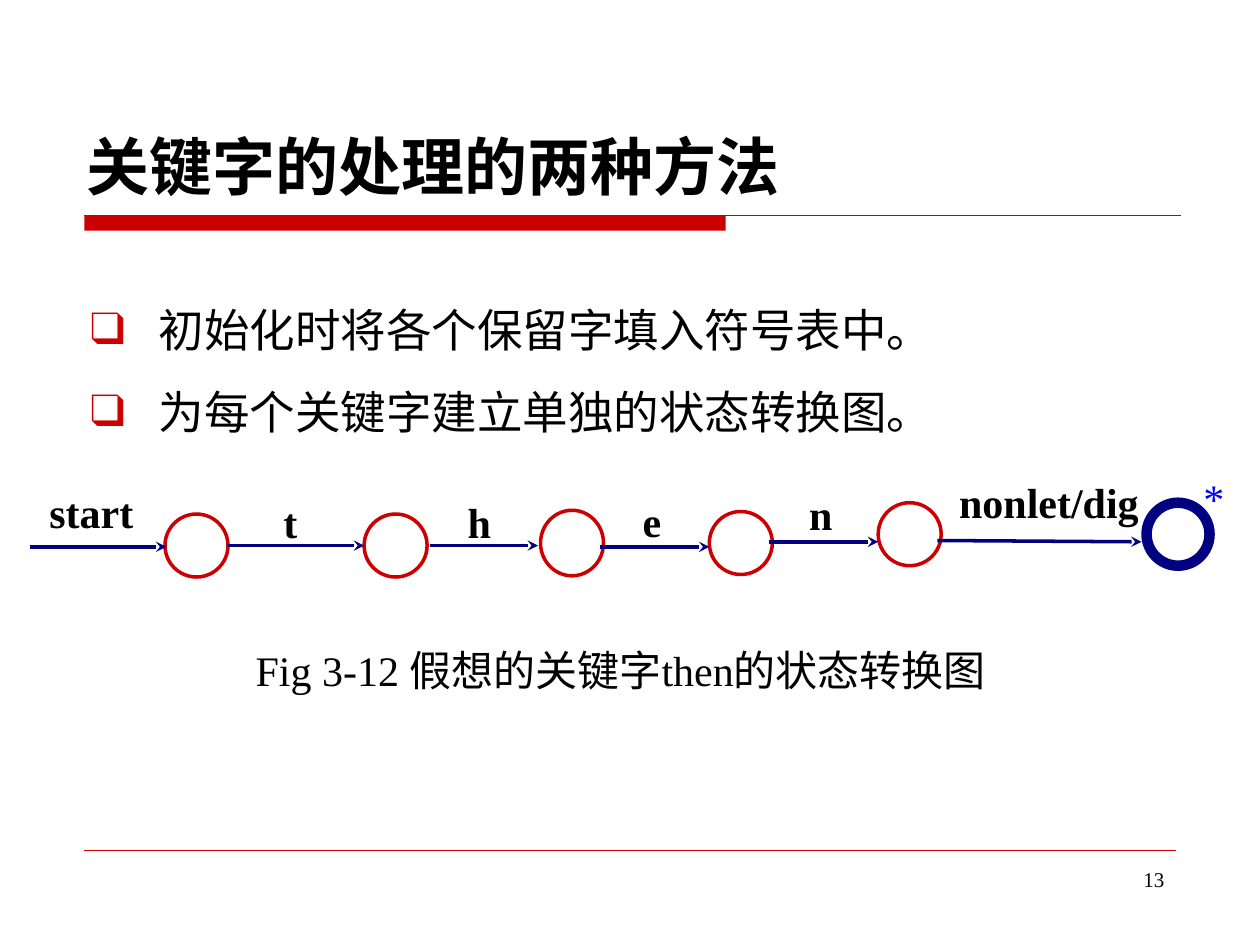
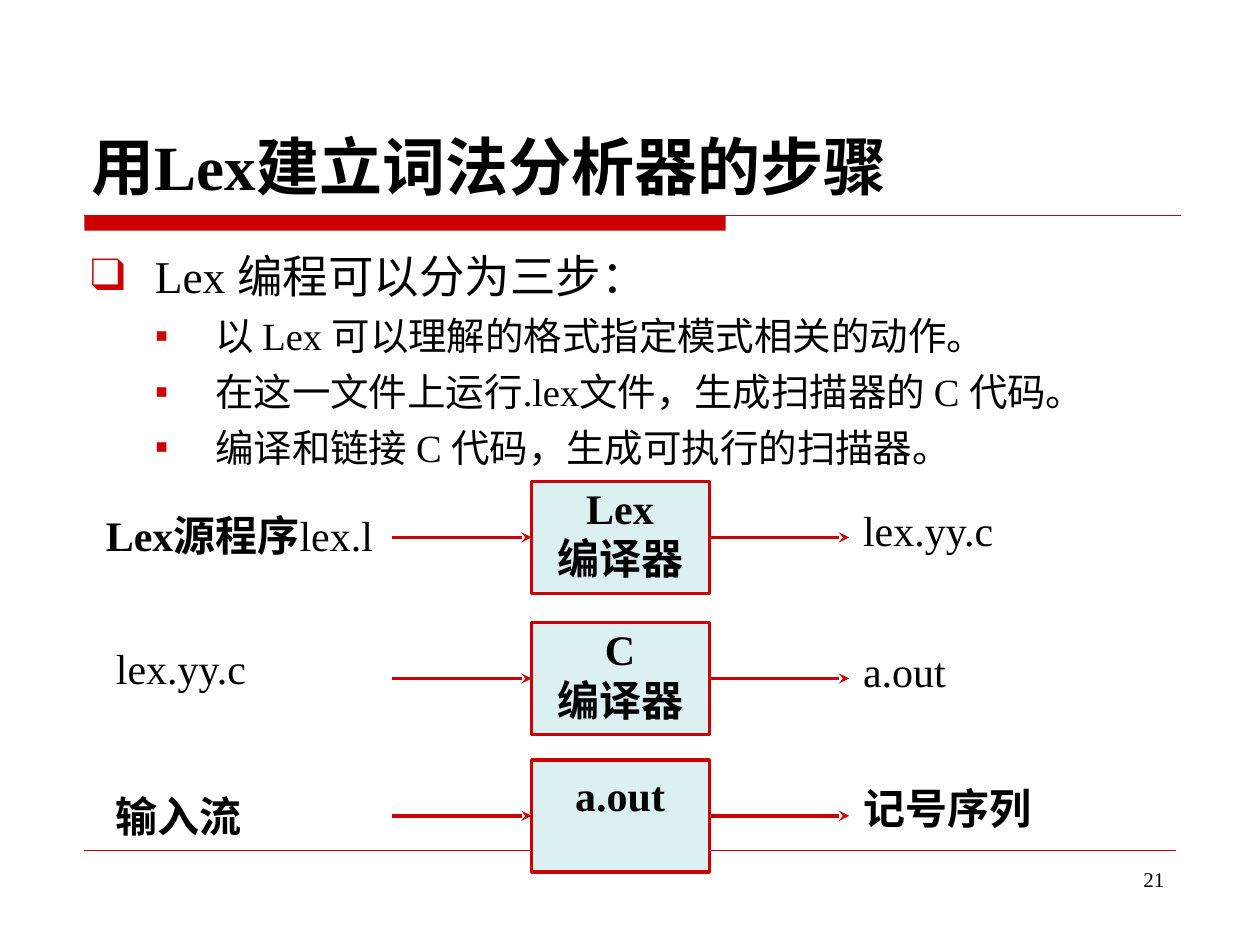
from dataclasses import dataclass
from typing import Optional

from lxml.etree import SubElement
from pptx import Presentation
from pptx.dml.color import RGBColor
from pptx.enum.lang import MSO_LANGUAGE_ID
from pptx.enum.shapes import MSO_CONNECTOR, MSO_SHAPE
from pptx.enum.text import MSO_ANCHOR, MSO_AUTO_SIZE, PP_ALIGN
from pptx.oxml.ns import qn
from pptx.shapes.autoshape import Shape
from pptx.shapes.connector import Connector
from pptx.slide import Slide
from pptx.text.text import TextFrame
from pptx.util import Inches, Pt


@dataclass(frozen=True)
class Theme:
    font: str = "Times New Roman"
    ink: str = "000000"
    red: str = "CC0000"
    navy: str = "000080"
    blue: str = "0000FF"
    pale: str = "DDF0F1"
    title: int = 36
    point: int = 26
    subpoint: int = 22
    label: int = 24
    number: int = 12
    stroke: float = 2
    accept_stroke: float = 6


THEME = Theme()
TITLE_ONLY = 5
TEXT_INSETS = (0.1, 0.05, 0.1, 0.05)
STEP_INSETS = (0.09, 0.03, 0.1, 0.05)


@dataclass(frozen=True)
class Label:
    text: str
    left: float
    top: float
    width: float
    height: float = 0.5
    bold: bool = False
    align: PP_ALIGN = PP_ALIGN.LEFT
    size: int = THEME.label
    color: str = THEME.ink
    insets: tuple[float, ...] = TEXT_INSETS
    plain_tail: str = ""


@dataclass(frozen=True)
class State:
    left: float
    top: float
    height: float = 0.5
    color: str = THEME.red
    stroke: float = THEME.stroke


@dataclass(frozen=True)
class Arrow:
    start: tuple[float, float]
    end: tuple[float, float]


@dataclass(frozen=True)
class Point:
    text: str
    size: int
    bullet: str
    margin: float
    hanging: float
    before: float = 0
    spacing: Optional[float] = None


@dataclass(frozen=True)
class Step:
    top: float
    tool: str
    source: Label
    result: Label
    tool_inset: float = 0.01


def set_insets(frame: TextFrame, insets: tuple[float, ...]) -> None:
    (frame.margin_left, frame.margin_top,
     frame.margin_right, frame.margin_bottom) = map(Inches, insets)


def format_text(frame: TextFrame, size: int, bold: bool = False,
                align: PP_ALIGN = PP_ALIGN.LEFT, color: str = THEME.ink) -> None:
    for paragraph in frame.paragraphs:
        paragraph.alignment = align
        for run in paragraph.runs:
            run.font.name = THEME.font
            run.font.size = Pt(size)
            run.font.bold = bold
            run.font.color.rgb = RGBColor.from_string(color)
            run.font.language_id = MSO_LANGUAGE_ID.SIMPLIFIED_CHINESE


def add_label(slide: Slide, label: Label) -> None:
    frame = slide.shapes.add_textbox(
        Inches(label.left), Inches(label.top),
        Inches(label.width), Inches(label.height)).text_frame
    frame.word_wrap = True
    set_insets(frame, label.insets)
    frame.text = label.text
    if label.plain_tail:
        frame.paragraphs[0].add_run().text = label.plain_tail
    format_text(frame, label.size, label.bold, label.align, label.color)
    if label.plain_tail:
        frame.paragraphs[0].runs[-1].font.bold = False


def add_line(slide: Slide, start: tuple[float, float], end: tuple[float, float],
             color: str, width: float, arrowhead: bool = False) -> Connector:
    line = slide.shapes.add_connector(
        MSO_CONNECTOR.STRAIGHT, *map(Inches, start + end))
    line.line.color.rgb = RGBColor.from_string(color)
    line.line.width = Pt(width)
    if arrowhead:
        SubElement(line.line._get_or_add_ln(), qn("a:tailEnd"), type="stealth")
    SubElement(line._element.spPr, qn("a:effectLst"))
    return line


def add_outlined(slide: Slide, kind: MSO_SHAPE, left: float, top: float,
                 width: float, height: float, color: str, stroke: float,
                 fill: Optional[str] = None) -> Shape:
    outlined = slide.shapes.add_shape(
        kind, *map(Inches, (left, top, width, height)))
    outlined.shadow.inherit = False
    if fill:
        outlined.fill.solid()
        outlined.fill.fore_color.rgb = RGBColor.from_string(fill)
    else:
        outlined.fill.background()
    if stroke:
        outlined.line.color.rgb = RGBColor.from_string(color)
        outlined.line.width = Pt(stroke)
    else:
        outlined.line.fill.background()
    return outlined


def add_state(slide: Slide, state: State) -> None:
    add_outlined(slide, MSO_SHAPE.OVAL, state.left, state.top, 0.5,
                 state.height, state.color, state.stroke)


def add_points(slide: Slide, top: float, width: float, height: float,
               points: list[Point]) -> None:
    frame = slide.shapes.add_textbox(
        Inches(0.62), Inches(top), Inches(width), Inches(height)).text_frame
    frame.word_wrap = True
    frame.text = "\n".join(point.text for point in points)
    format_text(frame, THEME.point)
    for paragraph, point in zip(frame.paragraphs, points):
        paragraph.runs[0].font.size = Pt(point.size)
        paragraph.space_before = Pt(point.before)
        if point.spacing:
            paragraph.line_spacing = point.spacing
        properties = paragraph._p.get_or_add_pPr()
        properties.set("marL", str(Inches(point.margin)))
        properties.set("indent", str(-Inches(point.hanging)))
        bullet_color = SubElement(properties, qn("a:buClr"))
        SubElement(bullet_color, qn("a:srgbClr"), val=THEME.red)
        SubElement(properties, qn("a:buFont"), typeface=THEME.font)
        SubElement(properties, qn("a:buChar"), char=point.bullet)


def add_base_slide(deck: Presentation, heading: str, left: float,
                   number: int) -> Slide:
    slide = deck.slides.add_slide(deck.slide_layouts[TITLE_ONLY])
    add_outlined(slide, MSO_SHAPE.RECTANGLE, 0.67, 1.71, 5.09, 0.12,
                 THEME.red, 0, THEME.red)
    add_line(slide, (0.67, 1.71), (9.37, 1.71), THEME.red, 0.75)
    add_line(slide, (0.67, 6.75), (9.33, 6.75), THEME.red, 0.25)
    add_label(slide, Label(str(number), 7.17, 6.83, 2.17, 0.52,
                           align=PP_ALIGN.RIGHT, size=THEME.number))
    title = slide.shapes.title
    title.left, title.top, title.width, title.height = map(
        Inches, (left, 0.33, 8.75, 1.33))
    frame = title.text_frame
    frame.text = heading
    frame.auto_size = MSO_AUTO_SIZE.NONE
    frame.vertical_anchor = MSO_ANCHOR.BOTTOM
    format_text(frame, THEME.title, bold=True)
    return slide


def build_keyword_slide(deck: Presentation) -> None:
    slide = add_base_slide(deck, "关键字的处理的两种方法", 0.59, 13)
    methods = ("初始化时将各个保留字填入符号表中。",
               "为每个关键字建立单独的状态转换图。")
    add_points(slide, 2.13, 9.06, 3.85, [
        Point(method, THEME.point, "❑", 0.54, 0.54, spacing=1.5)
        for method in methods])
    add_label(slide, Label("Fig 3-12 假想的关键字then的状态转换图",
                           1.93, 5.07, 6.43))
    states = (
        State(1.31, 4.08), State(2.89, 4.08), State(4.29, 4.05, 0.52),
        State(5.63, 4.06), State(6.97, 3.99),
        State(9.1, 3.99, color=THEME.navy, stroke=THEME.accept_stroke),
    )
    transitions = (
        Arrow((0.24, 4.34), (1.32, 4.34)),
        Arrow((1.81, 4.33), (2.89, 4.33)),
        Arrow((3.41, 4.33), (4.27, 4.33)),
        Arrow((4.76, 4.34), (5.63, 4.34)),
        Arrow((6.1, 4.3), (6.97, 4.3)),
        Arrow((7.44, 4.29), (9.06, 4.3)),
    )
    inputs = (("start", -0.12, 3.81, 1.69), ("t", 1.89, 3.89, 0.83),
              ("h", 3.39, 3.89, 0.83), ("e", 4.76, 3.88, 0.83),
              ("n", 6.1, 3.83, 0.83), ("nonlet/dig", 7.38, 3.73, 1.89))
    for state in states:
        add_state(slide, state)
    for transition in transitions:
        add_line(slide, transition.start, transition.end, THEME.navy,
                 THEME.stroke, arrowhead=True)
    for text, left, top, width in inputs:
        add_label(slide, Label(text, left, top, width, bold=True,
                               align=PP_ALIGN.CENTER))
    add_label(slide, Label("*", 9.49, 3.72, 0.33, 0.34, color=THEME.blue,
                           align=PP_ALIGN.JUSTIFY,
                           insets=(0.06, 0.03, 0.06, 0.03)))


def step_label(text: str, left: float, top: float, width: float = 2.24,
               bold: bool = False, plain_tail: str = "") -> Label:
    return Label(text, left, top, width, 0.49, bold, PP_ALIGN.JUSTIFY,
                 insets=STEP_INSETS, plain_tail=plain_tail)


def add_step(slide: Slide, step: Step) -> None:
    left, width, height = 4.22, 1.41, 0.89
    right, middle = left + width, step.top + height / 2
    tool = add_outlined(slide, MSO_SHAPE.RECTANGLE, left, step.top, width,
                        height, THEME.red, THEME.stroke, THEME.pale)
    frame = tool.text_frame
    frame.text = step.tool
    frame.vertical_anchor = MSO_ANCHOR.TOP
    set_insets(frame, (0.09, step.tool_inset, 0.1, 0.01))
    format_text(frame, THEME.label, bold=True, align=PP_ALIGN.CENTER)
    incoming = add_line(slide, (3.11, middle), (left, middle), THEME.red,
                        THEME.stroke, arrowhead=True)
    incoming.end_connect(tool, 1)
    outgoing = add_line(slide, (right, middle), (6.74, middle), THEME.red,
                        THEME.stroke, arrowhead=True)
    outgoing.begin_connect(tool, 3)
    add_label(slide, step.source)
    add_label(slide, step.result)


def build_lex_slide(deck: Presentation) -> None:
    slide = add_base_slide(deck, "用Lex建立词法分析器的步骤", 0.63, 21)
    details = ("以 Lex 可以理解的格式指定模式相关的动作。",
               "在这一文件上运行.lex文件，生成扫描器的 C 代码。",
               "编译和链接 C 代码，生成可执行的扫描器。")
    add_points(slide, 1.92, 8.75, 4.67, [
        Point("Lex 编程可以分为三步：", THEME.point, "❑", 0.51, 0.51, 6.5),
        *(Point(detail, THEME.subpoint, "▪", 0.99, 0.48, 5.5)
          for detail in details)])
    steps = (
        Step(3.82, "Lex\n编译器",
             step_label("Lex源程序", 0.75, 4.01, 2.32, True, "lex.l"),
             step_label("lex.yy.c", 6.76, 3.97)),
        Step(4.94, "C\n编译器",
             step_label("lex.yy.c", 0.83, 5.07, 1.42),
             step_label("a.out", 6.76, 5.09)),
        Step(6.03, "a.out",
             step_label("输入流", 0.83, 6.24, 1.33, True),
             step_label("记号序列", 6.76, 6.18, bold=True), 0.08),
    )
    for step in steps:
        add_step(slide, step)


def main() -> None:
    deck = Presentation()
    deck.slide_width, deck.slide_height = Inches(10), Inches(7.5)
    build_keyword_slide(deck)
    build_lex_slide(deck)
    deck.save("out.pptx")


if __name__ == "__main__":
    main()
